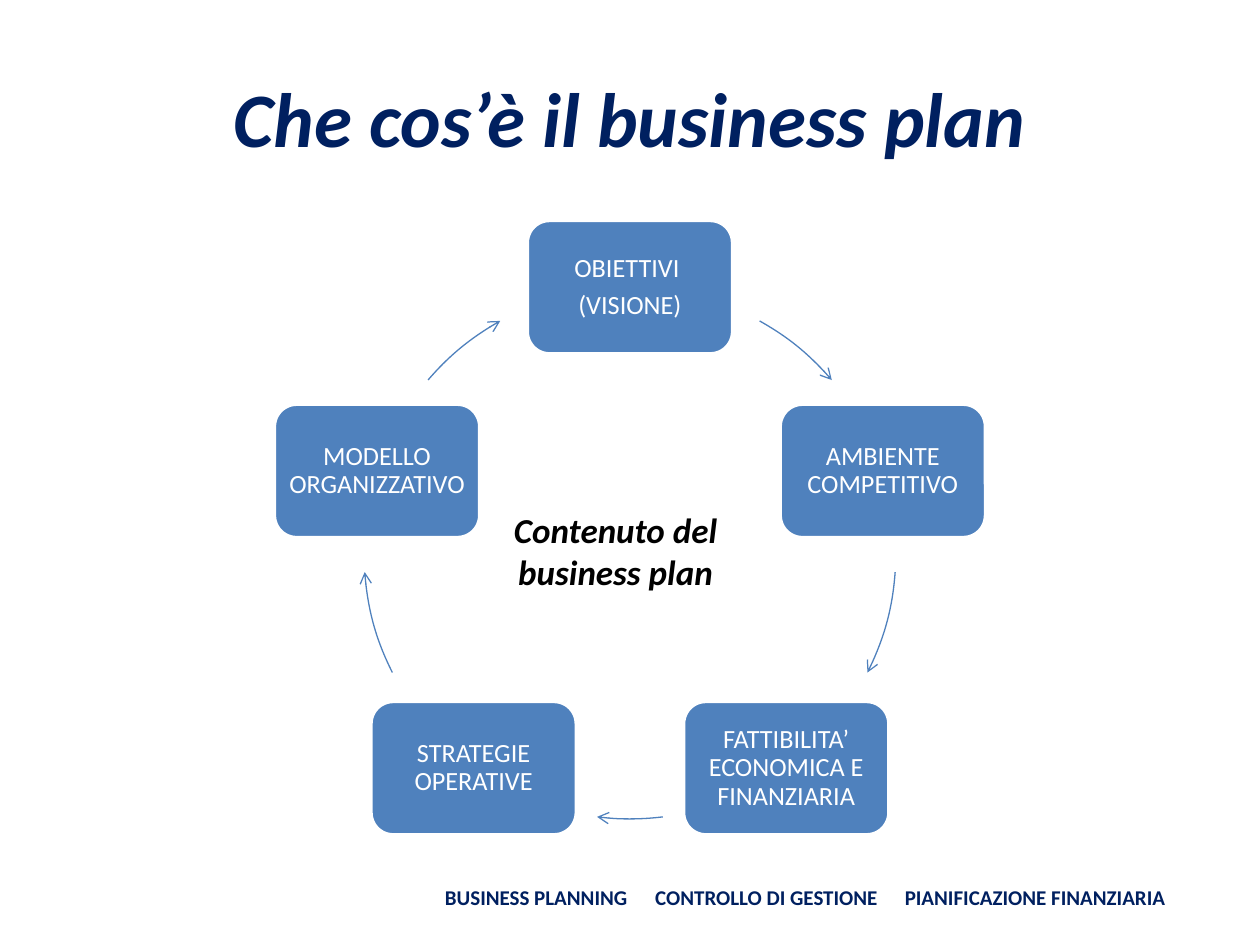
import math
from dataclasses import dataclass

import pptx
import pptx.dml.color
import pptx.enum.shapes
import pptx.enum.text
import pptx.oxml
import pptx.oxml.ns
import pptx.util
from lxml import etree

Cm = pptx.util.Cm
Pt = pptx.util.Pt
Kind = pptx.enum.shapes.MSO_SHAPE
Align = pptx.enum.text.PP_ALIGN
Anchor = pptx.enum.text.MSO_ANCHOR
qn = pptx.oxml.ns.qn


@dataclass(frozen=True)
class Theme:
    font: str = "Calibri"
    navy: str = "002060"
    blue: str = "4F81BD"
    white: str = "FFFFFF"
    black: str = "000000"
    title: int = 44
    label: int = 20
    step: int = 15
    foot: int = 12


THEME = Theme()

# Ring geometry in cm, angles in degrees clockwise from the top
MID_X, MID_Y, RADIUS = 12.7, 11.15, 5.36
BOX_W, BOX_H = 4.14, 2.69
STEPS = [
    ["OBIETTIVI ", "(VISIONE)"],
    ["AMBIENTE COMPETITIVO"],
    ["FATTIBILITA’ ECONOMICA E FINANZIARIA"],
    ["STRATEGIE OPERATIVE"],
    ["MODELLO ORGANIZZATIVO"],
]
ARCS = [(29.2, 49.4), (94.1, 116.7), (172.9, 187.1), (243.3, 265.9), (310.6, 330.8)]


def rgb(code):
    return pptx.dml.color.RGBColor.from_string(code)


def style(para, size, color, bold=False, slant=False, align=Align.CENTER):
    para.alignment = align
    font = para.font
    font.name, font.size = THEME.font, Pt(size)
    font.bold, font.italic = bold, slant
    font.color.rgb = rgb(color)


def add_text(slide, text, area, size, color, **look):
    box = slide.shapes.add_textbox(*map(Cm, area))
    frame = box.text_frame
    frame.word_wrap = True
    frame.text = text
    style(frame.paragraphs[0], size, color, bold=True, **look)
    return frame


def add_step(slide, lines, angle):
    turn = math.radians(angle)
    left = MID_X + RADIUS * math.sin(turn) - BOX_W / 2
    top = MID_Y - RADIUS * math.cos(turn) - BOX_H / 2
    box = slide.shapes.add_shape(
        Kind.ROUNDED_RECTANGLE, Cm(left), Cm(top), Cm(BOX_W), Cm(BOX_H))
    box.shadow.inherit = False
    box.fill.solid()
    box.fill.fore_color.rgb = rgb(THEME.blue)
    box.line.color.rgb = rgb(THEME.white)
    box.line.width = Pt(2)

    frame = box.text_frame
    frame.word_wrap = True
    frame.vertical_anchor = Anchor.MIDDLE
    frame.margin_left = frame.margin_right = Cm(0.15)
    frame.margin_top = frame.margin_bottom = Cm(0.15)
    frame.text = "\n".join(lines)
    for para in frame.paragraphs:
        style(para, THEME.step, THEME.white)
        para.line_spacing = 0.9
        para.space_after = Pt(5)


def add_arc(slide, start, end):
    arc = slide.shapes.add_shape(
        Kind.ARC, Cm(MID_X - RADIUS), Cm(MID_Y - RADIUS),
        Cm(2 * RADIUS), Cm(2 * RADIUS))
    arc.shadow.inherit = False
    arc.fill.background()
    arc.line.color.rgb = rgb(THEME.blue)
    arc.line.width = Pt(0.75)
    # The preset counts 60000ths of a degree from the right-hand side
    for spot, angle in enumerate((start, end)):
        arc.adjustments[spot] = (angle - 90) % 360 * 0.6
    line = arc.line._get_or_add_ln()
    etree.SubElement(line, qn("a:tailEnd"), type="arrow")


def add_foot(slide):
    text = "BUSINESS PLANNING\tCONTROLLO DI GESTIONE\tPIANIFICAZIONE FINANZIARIA"
    frame = add_text(slide, text, (6.71, 17.63, 18.2, 0.81),
                     THEME.foot, THEME.navy, align=Align.LEFT)
    frame.margin_left = Cm(2.26)
    para = frame.paragraphs[0]
    para.line_spacing = 1.15
    # Tab stops part the three topics
    tabs = pptx.oxml.parse_xml(
        '<a:tabLst xmlns:a="http://schemas.openxmlformats.org/drawingml/2006/main"/>')
    for stop in (4.24, 9.27):
        etree.SubElement(tabs, qn("a:tab"), pos=str(int(Cm(stop))), algn="l")
    para._p.get_or_add_pPr().find(qn("a:defRPr")).addprevious(tabs)


def main():
    deck = pptx.Presentation()
    deck.slide_width, deck.slide_height = Cm(25.4), Cm(19.05)
    slide = deck.slides.add_slide(deck.slide_layouts[6])

    # Title
    head = add_text(slide, "Che cos’è il business plan", (1.27, 0.76, 22.86, 3.18),
                    THEME.title, THEME.navy, slant=True)
    head.vertical_anchor = Anchor.MIDDLE

    # Ring of steps, each followed by its arrow
    for spot, (lines, arc) in enumerate(zip(STEPS, ARCS)):
        add_step(slide, lines, spot * 360 / len(STEPS))
        add_arc(slide, *arc)

    # Centre label and footer
    add_text(slide, "Contenuto del business plan", (9.91, 10.13, 5, 1.96),
             THEME.label, THEME.black, slant=True)
    add_foot(slide)

    deck.save("out.pptx")


if __name__ == "__main__":
    main()
